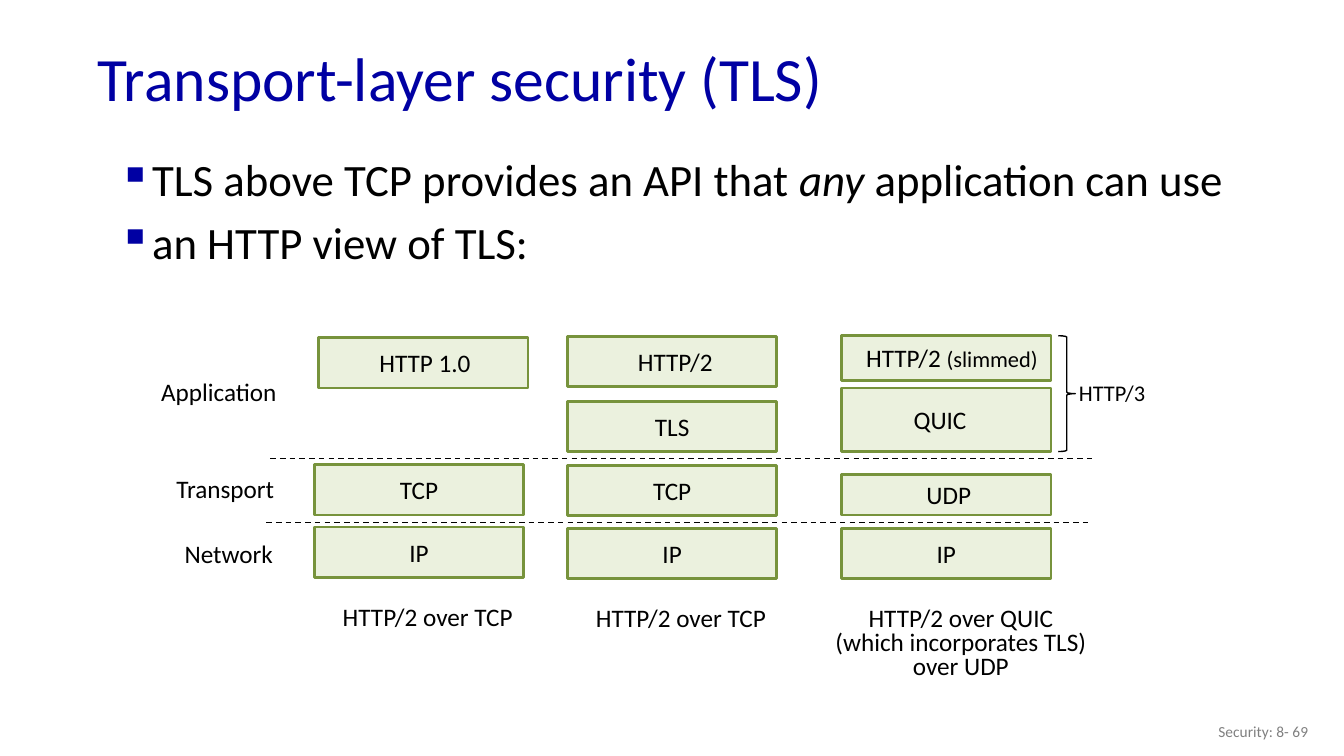
"""Build the slide on transport-layer security and the HTTP protocol stacks."""
from dataclasses import dataclass

from lxml import etree
from pptx import Presentation
from pptx.dml.color import RGBColor
from pptx.enum.dml import MSO_LINE
from pptx.enum.shapes import MSO_CONNECTOR, MSO_SHAPE
from pptx.enum.text import MSO_ANCHOR, MSO_AUTO_SIZE, PP_ALIGN
from pptx.oxml.ns import qn
from pptx.util import Cm, Pt

LEFT, CENTER, RIGHT = PP_ALIGN.LEFT, PP_ALIGN.CENTER, PP_ALIGN.RIGHT
TOP, MIDDLE = MSO_ANCHOR.TOP, MSO_ANCHOR.MIDDLE
RECT, BRACE = MSO_SHAPE.RECTANGLE, MSO_SHAPE.RIGHT_BRACE
STRAIGHT, DASH = MSO_CONNECTOR.STRAIGHT, MSO_LINE.DASH
NO_AUTOFIT = MSO_AUTO_SIZE.NONE

FONT = "Calibri"
NAVY, BLACK, GRAY = "0000A3", "000000", "808080"
PALE_GREEN, GREEN = "EBF1DE", "77933C"
BOX_W = 5.28
TCP_X, TLS_X, QUIC_X = 7.92, 14.3, 21.21


@dataclass
class Run:
    text: str
    size: float = 18
    color: str = BLACK
    italic: bool = False


@dataclass
class Layer:
    runs: list[Run]
    x: float
    y: float
    h: float = 1.27
    shift: float = 0


@dataclass
class Label:
    lines: list[list[Run]]
    x: float
    y: float
    w: float
    h: float = 1.02
    align: PP_ALIGN = RIGHT
    anchor: MSO_ANCHOR = TOP
    spacing: float = 1
    wrap: bool = True


LAYERS = [
    Layer([Run("HTTP 1.0")], 8.03, 8.51, shift=0.04),
    Layer([Run("TCP")], TCP_X, 11.71),
    Layer([Run("IP")], TCP_X, 13.28),
    Layer([Run("HTTP/2")], TLS_X, 8.48, shift=0.08),
    Layer([Run("TLS")], TLS_X, 10.11),
    Layer([Run("TCP")], TLS_X, 11.73),
    Layer([Run("IP")], TLS_X, 13.31),
    Layer([Run("HTTP/2 "), Run("(slimmed)", 16)], QUIC_X, 8.46, 1.12, 0.14),
    Layer([Run("QUIC")], QUIC_X, 9.78, 1.6, -0.16),
    Layer([Run("UDP")], QUIC_X, 11.96, 1.02, 0.06),
    Layer([Run("IP")], QUIC_X, 13.31),
]

LABELS = [
    Label([[Run("Application")]], 3.38, 9.37, 3.84),
    Label([[Run("Transport")]], 3.76, 11.79, 3.4),
    Label([[Run("Network")]], 3.73, 13.44, 3.4),
    Label([[Run("HTTP/3", 16)]], 26.62, 9.42, 2.49, 0.94),
    Label([[Run("HTTP/2 over TCP")]], 8.33, 15.04, 4.9, align=CENTER, wrap=False),
    Label([[Run("HTTP/2 over TCP")]], 14.71, 15.06, 4.9, align=CENTER, wrap=False),
    Label([[Run("HTTP/2 over QUIC")], [Run("(which incorporates TLS)")], [Run("over UDP")]],
          20.75, 15.19, 6.93, 2.11, CENTER, spacing=0.8, wrap=False),
    Label([[Run("Security: 8- 69", 11, GRAY)]], 25.6, 17.91, 7.62, anchor=MIDDLE),
]

BULLETS = [
    [Run("TLS above TCP provides an API that ", 32), Run("any", 32, italic=True),
     Run(" application can use", 32)],
    [Run("an HTTP view of TLS:", 32)],
]


def rgb(color: str) -> RGBColor:
    """Turn a hex string into a colour."""
    return RGBColor.from_string(color)


def add_runs(p, runs: list[Run]) -> None:
    """Add formatted runs to a paragraph."""
    for run in runs:
        r = p.add_run()
        r.text = run.text
        r.font.name = FONT
        r.font.size = Pt(run.size)
        r.font.italic = run.italic
        r.font.color.rgb = rgb(run.color)


def add_lines(tf, lines: list[list[Run]], align: PP_ALIGN, spacing: float) -> None:
    """Fill a text frame with one paragraph per line."""
    for i, runs in enumerate(lines):
        p = tf.add_paragraph() if i else tf.paragraphs[0]
        p.alignment = align
        p.line_spacing = spacing
        add_runs(p, runs)


def add_title(s, text: str) -> None:
    """Place and format the title placeholder."""
    sp = s.shapes.title
    sp.left, sp.top, sp.width, sp.height = Cm(2.21), Cm(0.81), Cm(29.21), Cm(2.49)
    tf = sp.text_frame
    tf.auto_size = NO_AUTOFIT
    tf.vertical_anchor = MIDDLE
    add_lines(tf, [[Run(text, 44, NAVY)]], LEFT, 0.9)


def add_label(s, label: Label):
    """Add a text box and return its text frame."""
    sp = s.shapes.add_textbox(Cm(label.x), Cm(label.y), Cm(label.w), Cm(label.h))
    tf = sp.text_frame
    tf.word_wrap = label.wrap
    tf.vertical_anchor = label.anchor
    add_lines(tf, label.lines, label.align, label.spacing)
    return tf


def add_bullets(s, lines: list[list[Run]]) -> None:
    """Add the bulleted body text."""
    tf = add_label(s, Label(lines, 2.74, 3.86, 30.23, 4.52, LEFT, spacing=0.9))
    for i, p in enumerate(tf.paragraphs):
        p.space_before = Pt(10 if i else 0)
        pPr = p._p.get_or_add_pPr()
        pPr.set("marL", str(Cm(0.79)))
        pPr.set("indent", str(-Cm(0.79)))
        clr = etree.SubElement(pPr, qn("a:buClr"))
        etree.SubElement(clr, qn("a:srgbClr"), val=NAVY)
        etree.SubElement(pPr, qn("a:buChar"), char="▪")


def add_layer(s, layer: Layer) -> None:
    """Add one protocol box with its name."""
    sp = s.shapes.add_shape(RECT, Cm(layer.x), Cm(layer.y), Cm(BOX_W), Cm(layer.h))
    sp.shadow.inherit = False
    sp.fill.solid()
    sp.fill.fore_color.rgb = rgb(PALE_GREEN)
    sp.line.color.rgb = rgb(GREEN)
    sp.line.width = Pt(2)
    tf = sp.text_frame
    tf.margin_left = Cm(max(2 * layer.shift, 0))
    tf.margin_right = Cm(max(-2 * layer.shift, 0))
    tf.margin_top = tf.margin_bottom = 0
    tf.vertical_anchor = MIDDLE
    add_lines(tf, [layer.runs], CENTER, 1)


def add_divider(s, x1: float, x2: float, y: float) -> None:
    """Add a dashed line between two network layers."""
    c = s.shapes.add_connector(STRAIGHT, Cm(x1), Cm(y), Cm(x2), Cm(y))
    c.line.color.rgb = rgb(BLACK)
    c.line.width = Pt(1)
    c.line.dash_style = DASH
    etree.SubElement(c._element.spPr, qn("a:effectLst"))


def add_brace(s) -> None:
    """Add the brace that joins the HTTP/3 layers."""
    sp = s.shapes.add_shape(BRACE, Cm(26.67), Cm(8.46), Cm(0.43), Cm(2.92))
    sp.shadow.inherit = False
    sp.fill.background()
    sp.line.color.rgb = rgb(BLACK)
    sp.line.width = Pt(1)


def main() -> None:
    """Build and save the slide."""
    prs = Presentation()
    prs.slide_width, prs.slide_height = Cm(33.87), Cm(19.05)
    s = prs.slides.add_slide(prs.slide_layouts[5])
    add_title(s, "Transport-layer security (TLS)")
    add_bullets(s, BULLETS)
    for layer in LAYERS:
        add_layer(s, layer)
    add_divider(s, 6.81, 27.51, 11.56)
    add_divider(s, 6.71, 27.46, 13.16)
    add_brace(s)
    for label in LABELS:
        add_label(s, label)
    prs.save("out.pptx")


if __name__ == "__main__":
    main()
